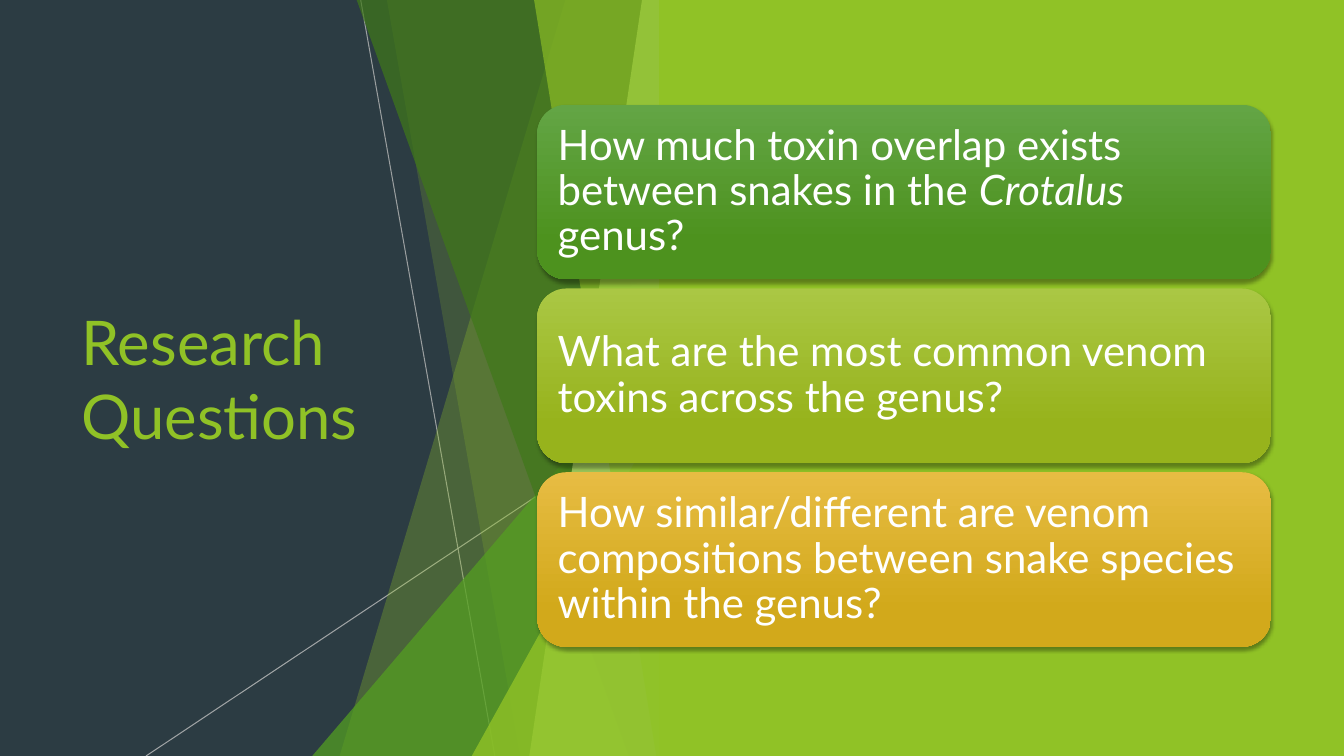
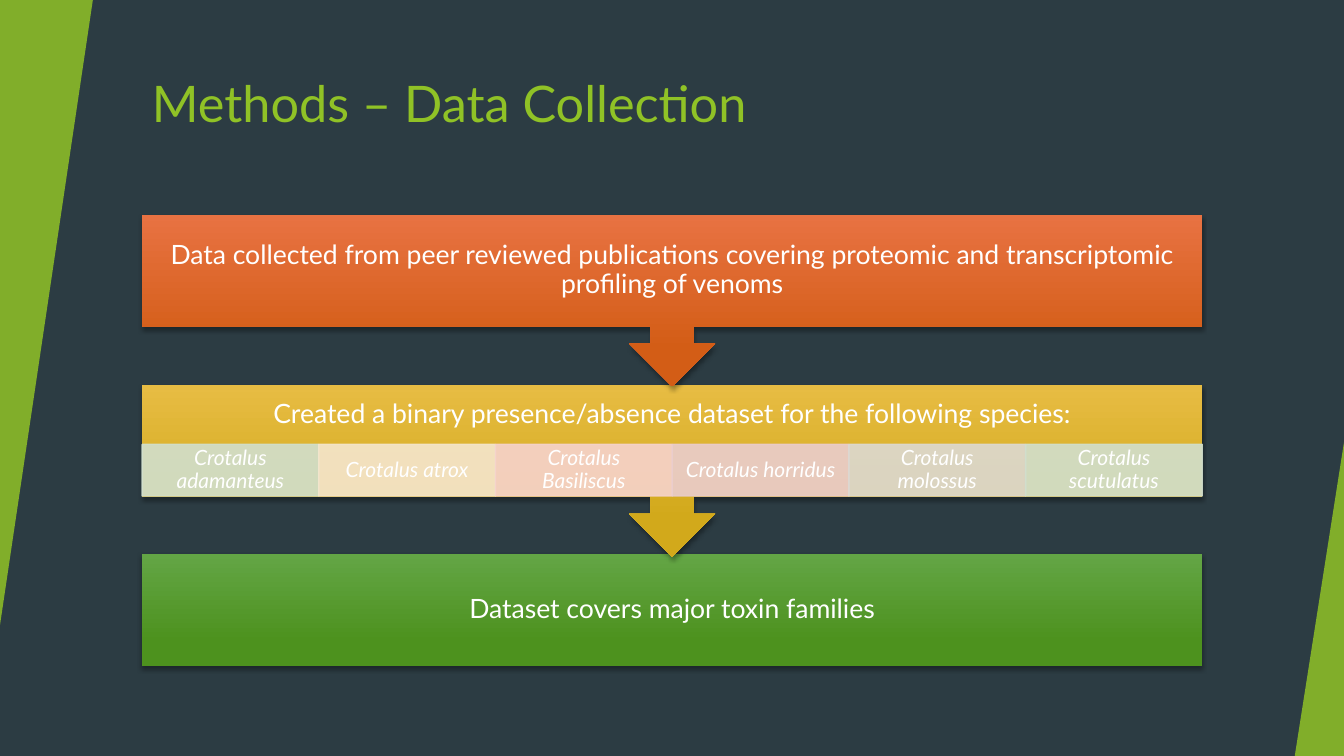
from dataclasses import dataclass

from lxml import etree
from pptx import Presentation
from pptx.dml.color import RGBColor
from pptx.enum import shapes, text
from pptx.oxml.ns import qn
from pptx.util import Cm, Pt


@dataclass(frozen=True)
class Theme:
    font: str = "Lato"
    slate: str = "2C3C43"
    lime: str = "90C226"
    leaf: str = "54A021"
    forest: str = "3F7819"
    pale: str = "C0E474"
    ray: str = "BFBFBF"
    white: str = "FFFFFF"
    # Gradients: top colour, bottom colour
    green: tuple = ("63A545", "4D921E")
    olive: tuple = ("AAC744", "97B31C")
    gold: tuple = ("E7BC43", "D2A91B")
    orange: tuple = ("E87242", "D35D16")
    # Type sizes
    cover_title: int = 44
    title: int = 36
    card: int = 30
    step: int = 19
    cell: int = 15


T = Theme()
W, H = 33.87, 19.05
KIND = shapes.MSO_SHAPE

# Content: runs are (text, italic)
QUESTIONS = [
    ([("How much toxin overlap exists between snakes in the ", False),
      ("Crotalus", True), (" genus?", False)], T.green),
    ([("What are the most common venom toxins across the genus?", False)], T.olive),
    ([("How similar/different are venom compositions between snake species "
       "within the genus?", False)], T.gold),
]
# Steps: text, gradient, shape, top, height, bottom inset
STEPS = [
    ("Data collected from peer reviewed publications covering proteomic and "
     "transcriptomic profiling of venoms",
     T.orange, KIND.DOWN_ARROW_CALLOUT, 5.41, 4.33, 0.38),
    ("Created a binary presence/absence dataset for the following species:",
     T.gold, KIND.DOWN_ARROW_CALLOUT, 9.7, 4.33, 1.66),
    ("Dataset covers major toxin families",
     T.green, KIND.RECTANGLE, 13.97, 2.82, 0.38),
]
SPECIES = [
    ("Crotalus adamanteus", "D1DFCD"),
    ("Crotalus atrox", "F5E6CD"),
    ("Crotalus Basiliscus", "F6D3CC"),
    ("Crotalus horridus", "EACDCD"),
    ("Crotalus molossus", "DCD9D1"),
    ("Crotalus scutulatus", "D1DFCD"),
]

# Facets: all end at the same right edge
FACET_RIGHT = 16.92
RAYS = [  # x1, y1, x2, y2, opacity
    (9.09, 0, 12.47, H, 75),
    (FACET_RIGHT, 10.24, 3.68, H, 80),
]
FACETS = [  # ("band", top x, bottom x) or ("peak", left, top), colour, opacity
    ("band", 14.25, 8.56, T.lime, 30),
    ("band", 9.75, 13.11, T.lime, 20),
    ("peak", 7.87, 8.46, T.leaf, 72),
    ("band", 8.99, 15.85, T.forest, 70),
    ("band", 16.18, 13.34, T.pale, 70),
    ("band", 13.46, 16.54, T.lime, 65),
    ("peak", 11.89, 9.98, T.lime, 80),
]


# Shared drawing helpers
def rgb(code):
    return RGBColor.from_string(code)


def set_alpha(shape, percent):
    for clr in shape._element.spPr.iter(qn("a:srgbClr")):
        etree.SubElement(clr, qn("a:alpha"), val=str(percent * 1000))


def paint(shape, color, opacity=100, outline=False):
    shape.shadow.inherit = False
    shape.fill.solid()
    shape.fill.fore_color.rgb = rgb(color)
    if outline:
        shape.line.color.rgb = rgb(color)
        shape.line.width = Pt(1)
    else:
        shape.line.fill.background()
    if opacity < 100:
        set_alpha(shape, opacity)
    return shape


def add_box(s, kind, x, y, w, h):
    return s.shapes.add_shape(kind, Cm(x), Cm(y), Cm(w), Cm(h))


def add_glossy(s, kind, x, y, w, h, gradient):
    """Shape with a vertical gradient and a soft shadow below it."""
    sp = add_box(s, kind, x, y, w, h)
    sp.fill.gradient()
    sp.fill.gradient_angle = 270
    for stop, color, pos in zip(sp.fill.gradient_stops, gradient, (0, 0.78)):
        stop.color.rgb = rgb(color)
        stop.position = pos
    sp.line.fill.background()
    sp.shadow.inherit = False
    effects = sp._element.spPr.find(qn("a:effectLst"))
    shadow = etree.SubElement(effects, qn("a:outerShdw"), blurRad=str(Pt(3)),
                              dist=str(Pt(2)), dir="5400000", rotWithShape="0")
    black = etree.SubElement(shadow, qn("a:srgbClr"), val="000000")
    etree.SubElement(black, qn("a:alpha"), val="35000")
    return sp


def add_peak(s, x, y, w, h, color, opacity, rotation=0):
    """Right-angled triangle with its apex above the right corner."""
    sp = add_box(s, KIND.ISOSCELES_TRIANGLE, x, y, w, h)
    sp.adjustments[0] = 1
    sp.rotation = rotation
    return paint(sp, color, opacity)


def add_band(s, top_x, bottom_x, right, color, opacity):
    fb = s.shapes.build_freeform(Cm(top_x), 0)
    fb.add_line_segments([(Cm(right), 0), (Cm(right), Cm(H)), (Cm(bottom_x), Cm(H))])
    return paint(fb.convert_to_shape(), color, opacity)


def write(sp, runs, size, color=T.white, align=text.PP_ALIGN.LEFT,
          anchor=text.MSO_ANCHOR.MIDDLE, insets=(0.25, 0.13, 0.25, 0.13), spacing=0.9):
    tf = sp.text_frame
    tf.word_wrap = True
    tf.vertical_anchor = anchor
    tf.margin_left, tf.margin_top, tf.margin_right, tf.margin_bottom = map(Cm, insets)
    p = tf.paragraphs[0]
    p.alignment = align
    p.line_spacing = spacing
    for words, italic in runs:
        r = p.add_run()
        r.text = words
        r.font.name = T.font
        r.font.size = Pt(size)
        r.font.italic = italic
        r.font.color.rgb = rgb(color)


def add_title(s, words, x, y, w, h, size, anchor):
    sp = s.shapes.add_textbox(Cm(x), Cm(y), Cm(w), Cm(h))
    write(sp, [(words, False)], size, T.lime, anchor=anchor, spacing=1.0)


def add_slide(prs):
    s = prs.slides.add_slide(prs.slide_layouts[6])
    s.background.fill.solid()
    s.background.fill.fore_color.rgb = rgb(T.slate)
    return s


# Slide 1: research questions
def build_questions(prs):
    s = add_slide(prs)
    add_title(s, "Research Questions", 1.8, 3.84, 9.86, 11.38,
              T.cover_title, text.MSO_ANCHOR.MIDDLE)

    for x1, y1, x2, y2, opacity in RAYS:
        ray = s.shapes.add_connector(shapes.MSO_CONNECTOR.STRAIGHT,
                                     Cm(x1), Cm(y1), Cm(x2), Cm(y2))
        ray.line.color.rgb = rgb(T.ray)
        ray.line.width = Pt(0.75)
        set_alpha(ray, opacity)
        etree.SubElement(ray._element.spPr, qn("a:effectLst"))

    for kind, a, b, color, opacity in FACETS:
        if kind == "band":
            add_band(s, a, b, FACET_RIGHT, color, opacity)
        else:
            add_peak(s, a, b, FACET_RIGHT - a, H - b, color, opacity)

    panel_x = 16.61
    paint(add_box(s, KIND.RECTANGLE, panel_x, 0, W - panel_x, H), T.lime)

    top, height, gap = 2.64, 4.4, 0.23
    for i, (runs, gradient) in enumerate(QUESTIONS):
        card = add_glossy(s, KIND.ROUNDED_RECTANGLE, 13.54, top + i * (height + gap),
                          18.49, height, gradient)
        write(card, runs, T.card, insets=(0.3,) * 4)


# Slide 2: data collection flow
def build_methods(prs):
    s = add_slide(prs)
    left, width = 3.58, 26.72
    add_title(s, "Methods – Data Collection", left, 1.7, 28.32, 3.05,
              T.title, text.MSO_ANCHOR.TOP)
    add_peak(s, 0, 0, 2.34, 15.75, T.lime, 85, rotation=180)
    add_peak(s, W - 1.24, 11.15, 1.24, H - 11.15, T.lime, 85)

    # Last step first, so that each arrow tip lies over the next box
    for words, gradient, kind, top, height, bottom in reversed(STEPS):
        step = add_glossy(s, kind, left, top, width, height, gradient)
        write(step, [(words, False)], T.step, align=text.PP_ALIGN.CENTER,
              insets=(0.38, 0.38, 0.38, bottom))

    cell_w = width / len(SPECIES)
    for i, (name, color) in enumerate(SPECIES):
        cell = add_box(s, KIND.RECTANGLE, left + i * cell_w, 11.2, cell_w, 1.3)
        paint(cell, color, 90, outline=True)
        write(cell, [(name, True)], T.cell, align=text.PP_ALIGN.CENTER,
              insets=(0.3, 0.05, 0.3, 0.05))


def main():
    prs = Presentation()
    prs.slide_width, prs.slide_height = Cm(W), Cm(H)
    build_questions(prs)
    build_methods(prs)
    prs.save("out.pptx")


if __name__ == "__main__":
    main()
